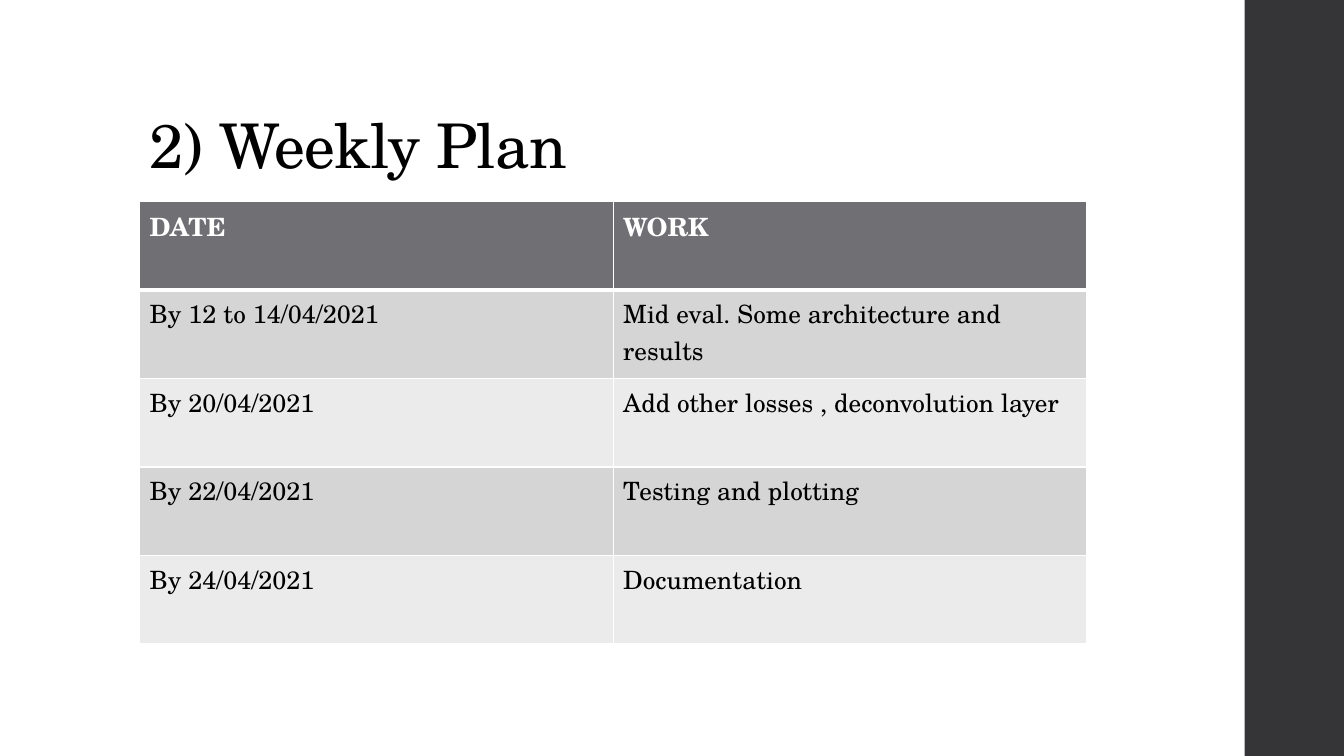
from lxml import etree
from pptx import Presentation
from pptx import util as u
from pptx.dml.color import RGBColor
from pptx.enum import shapes, text
from pptx.oxml.ns import qn

COLORS = {
    "ink": "000000",
    "paper": "FFFFFF",
    "sidebar": "353537",
    "header": "6F6F74",
    "odd": "D5D5D6",
    "even": "EBEBEB",
}
FONT = "TeX Gyre Schola"
PLAN = [
    ("DATE", "WORK"),
    ("By 12 to 14/04/2021", "Mid eval. Some architecture and results"),
    ("By 20/04/2021", "Add other losses , deconvolution layer"),
    ("By 22/04/2021", "Testing and plotting"),
    ("By 24/04/2021", "Documentation"),
]


def color(name):
    return RGBColor.from_string(COLORS[name])


def write(frame, words, size=18, ink="ink", bold=False, line_spacing=None, tracking=None):
    para = frame.paragraphs[0]
    para.alignment = text.PP_ALIGN.LEFT
    if line_spacing:
        para.line_spacing = line_spacing
    span = para.add_run()
    span.text = words
    span.font.name = FONT
    span.font.size = u.Pt(size)
    span.font.bold = bold
    span.font.color.rgb = color(ink)
    if tracking:
        span.font._element.set("spc", str(int(tracking * 100)))


class PlanSlide:
    def __init__(self, deck):
        self.page = deck.slides.add_slide(deck.slide_layouts[5])
        self.page.background.fill.solid()
        self.page.background.fill.fore_color.rgb = color("paper")

    def bar(self, left, top, width, height, fill):
        box = self.page.shapes.add_shape(
            shapes.MSO_SHAPE.RECTANGLE, u.Pt(left), u.Pt(top), u.Pt(width), u.Pt(height))
        box.shadow.inherit = False
        box.fill.solid()
        box.fill.fore_color.rgb = color(fill)
        box.line.fill.background()

    def title(self, words, left, top, width, height):
        box = self.page.shapes.title
        box.left, box.top = u.Pt(left), u.Pt(top)
        box.width, box.height = u.Pt(width), u.Pt(height)
        frame = box.text_frame
        frame.word_wrap = True
        frame.auto_size = text.MSO_AUTO_SIZE.NONE
        frame.vertical_anchor = text.MSO_ANCHOR.BOTTOM
        write(frame, words, size=44, line_spacing=0.9, tracking=-0.5)

    def border(self, cell, side, width):
        line = etree.SubElement(
            cell._tc.get_or_add_tcPr(), qn(f"a:ln{side}"), w=str(u.Pt(width)))
        fill = etree.SubElement(line, qn("a:solidFill"))
        etree.SubElement(fill, qn("a:srgbClr"), val=COLORS["paper"])

    def table(self, rows, left, top, width, height):
        grid = self.page.shapes.add_table(
            len(rows), len(rows[0]), u.Pt(left), u.Pt(top), u.Pt(width), u.Pt(height)).table
        for row, entries in enumerate(rows):
            heading = row == 0
            fill = "header" if heading else "odd" if row % 2 else "even"
            widths = {"L": 1, "R": 1, "T": 3 if row == 1 else 1, "B": 3 if heading else 1}
            for column, words in enumerate(entries):
                cell = grid.cell(row, column)
                for side, line_width in widths.items():
                    self.border(cell, side, line_width)
                cell.fill.solid()
                cell.fill.fore_color.rgb = color(fill)
                write(cell.text_frame, words, ink="paper" if heading else "ink", bold=heading)


deck = Presentation()
deck.slide_width, deck.slide_height = u.Pt(960), u.Pt(540)
slide = PlanSlide(deck)
slide.bar(889, 0, 72, 540, "sidebar")
slide.title("2) Weekly Plan", 99.4, 28.8, 763.2, 104.4)
slide.table(PLAN, 99.75, 144, 676.5, 316)
deck.save("out.pptx")
